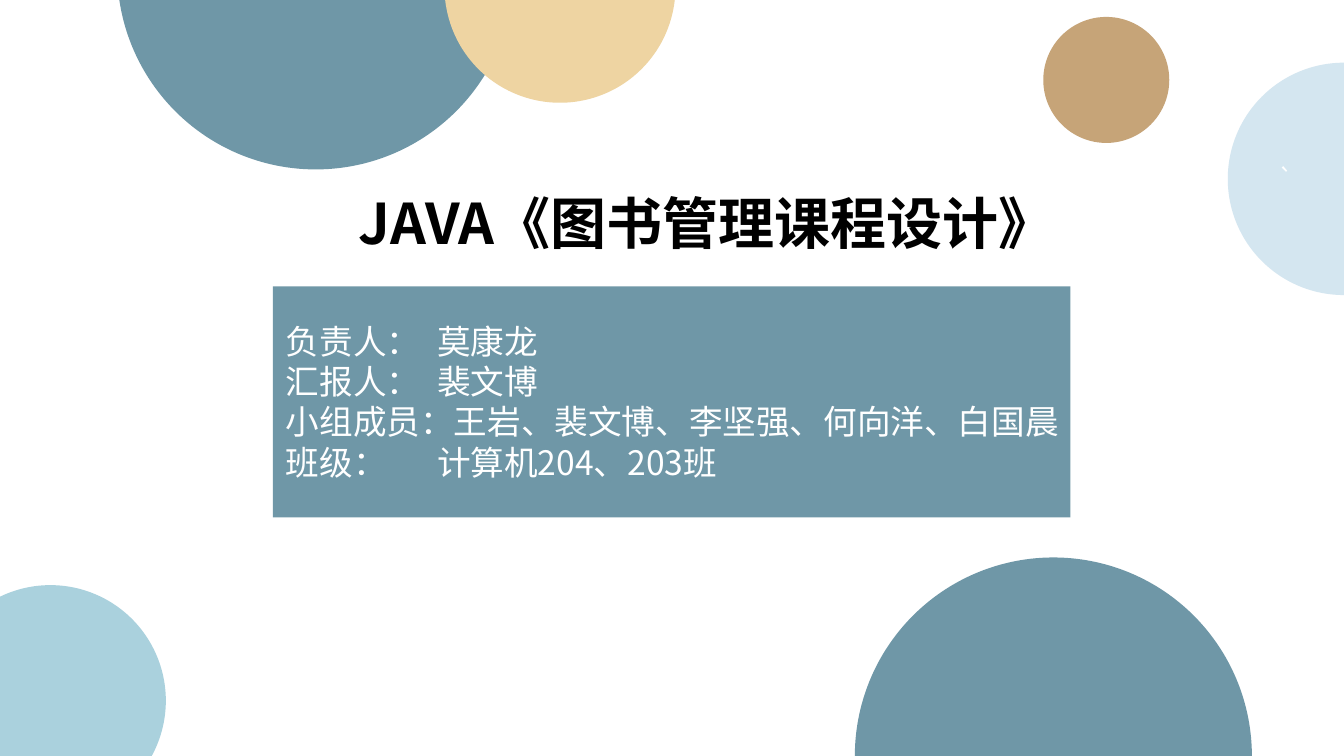
from math import cos, radians, sin

from lxml.etree import SubElement
from pptx import Presentation
from pptx.dml.color import RGBColor
from pptx.enum.shapes import MSO_SHAPE
from pptx.enum.text import MSO_ANCHOR, MSO_AUTO_SIZE, PP_ALIGN
from pptx.oxml.ns import qn
from pptx.util import Pt

WIDTH, HEIGHT = 960, 540
FONT = "Noto Sans CJK SC"
COLORS = {"steel": "6F97A7", "aqua": "AAD1DD", "ice": "D4E6F0", "tan": "C6A478",
          "sand": "EED4A2", "white": "FFFFFF", "black": "000000"}
# colour, centre x, centre y, radius, first and last angle (clockwise from the right),
# page corners inside the circle
CUT_CIRCLES = [("steel", 225.5, -20.8, 141.8, 8.43, 171.57, []),
               ("steel", 752.4, 540, 141.8, 180, 360, []),
               ("aqua", 36, 500.5, 82.5, 244.13, 388.61, [(0, HEIGHT)]),
               ("ice", 960, 127.8, 83, 90, 270, []),
               ("sand", 400, -9.1, 82.5, 6.33, 173.67, [])]
# label, value, tab stop of the value (None: it follows the label directly)
DETAILS = [("负责人：", "莫康龙", 117), ("汇报人：", "裴文博", 117),
           ("小组成员：", "王岩、裴文博、李坚强、何向洋、白国晨", None),
           ("班级：", "计算机204、203班", 109.5)]


def paint(shape, color):
    shape.shadow.inherit = False
    shape.fill.solid()
    shape.fill.fore_color.rgb = RGBColor.from_string(COLORS[color])
    shape.line.fill.background()


def add_text(para, text, size, color, bold=False):
    span = para.add_run()
    span.text = text
    formats = {"name": FONT, "size": Pt(size), "bold": bold}
    for name, value in formats.items():
        setattr(span.font, name, value)
    span.font.color.rgb = RGBColor.from_string(COLORS[color])
    SubElement(span.font._element, qn("a:ea"), typeface=FONT)


def place(shape, box, anchor):
    """Move a placeholder to the box, in front of everything drawn so far."""
    for name, value in zip(("left", "top", "width", "height"), box):
        setattr(shape, name, Pt(value))
    formats = {"word_wrap": True, "auto_size": MSO_AUTO_SIZE.NONE, "vertical_anchor": anchor}
    for name, value in formats.items():
        setattr(shape.text_frame, name, value)
    tree = shape._element.getparent()
    tree.append(shape._element)


def add_cut_circle(page, color, x, y, radius, first, last, corners):
    """Draw the part of a circle that lies on the page, as one arc and straight edges."""
    def on_circle(angle):
        return x + radius * cos(radians(angle)), y + radius * sin(radians(angle))

    start = on_circle(first)
    extremes = [on_circle(angle) for angle in range(0, 450, 90) if first <= angle <= last]
    outline = [start, *extremes, on_circle(last), *corners]
    builder = page.shapes.build_freeform(*(Pt(value) for value in start))
    builder.add_line_segments([(Pt(px), Pt(py)) for px, py in outline[1:]])
    shape = builder.convert_to_shape()

    outline_path = shape._element.find(".//" + qn("a:path"))
    for segment in outline_path.findall(qn("a:lnTo"))[:len(outline) - len(corners) - 1]:
        outline_path.remove(segment)
    arc = outline_path.makeelement(qn("a:arcTo"), {
        "wR": str(Pt(radius)), "hR": str(Pt(radius)),
        "stAng": str(round(first * 60000)), "swAng": str(round((last - first) * 60000))})
    outline_path.insert(1, arc)
    paint(shape, color)
    return shape


def add_circles(page):
    for circle in CUT_CIRCLES:
        shape = add_cut_circle(page, *circle)
        if circle[0] == "ice":
            shape.text_frame.vertical_anchor = MSO_ANCHOR.MIDDLE
            para = shape.text_frame.paragraphs[0]
            para.alignment = PP_ALIGN.CENTER
            add_text(para, "`", 18, "white")
    dot = page.shapes.add_shape(MSO_SHAPE.OVAL, Pt(745.2), Pt(12.1), Pt(90), Pt(90))
    paint(dot, "tan")


def add_title(page, box):
    title = page.shapes.title
    place(title, box, MSO_ANCHOR.MIDDLE)
    para = title.text_frame.paragraphs[0]
    para.alignment = PP_ALIGN.LEFT
    para._p.get_or_add_pPr().set("indent", str(Pt(110)))
    add_text(para, "JAVA《图书管理课程设计》", 40, "black", bold=True)


def add_details(page, box):
    left, top, width, height = box
    band = page.shapes.add_shape(MSO_SHAPE.RECTANGLE, *map(Pt, box))
    paint(band, "steel")
    body = page.placeholders[1]
    place(body, (left + 2, top + 21, width - 1, height - 41), MSO_ANCHOR.TOP)
    frame = body.text_frame
    for index, (label, value, stop) in enumerate(DETAILS):
        para = frame.add_paragraph() if index else frame.paragraphs[0]
        formats = {"alignment": PP_ALIGN.LEFT, "space_before": Pt(0), "line_spacing": Pt(28.8)}
        for name, setting in formats.items():
            setattr(para, name, setting)
        if stop:
            stops = SubElement(para._p.get_or_add_pPr(), qn("a:tabLst"))
            SubElement(stops, qn("a:tab"), pos=str(Pt(stop)), algn="l")
        add_text(para, label + ("\t" if stop else "") + value, 24, "white")


def main():
    deck = Presentation()
    deck.slide_width, deck.slide_height = Pt(WIDTH), Pt(HEIGHT)
    page = deck.slides.add_slide(deck.slide_layouts[0])
    add_circles(page)
    add_details(page, (195, 204.5, 569.5, 165))
    add_title(page, (139, 131, 682.5, 55.5))
    deck.save("out.pptx")


if __name__ == "__main__":
    main()
